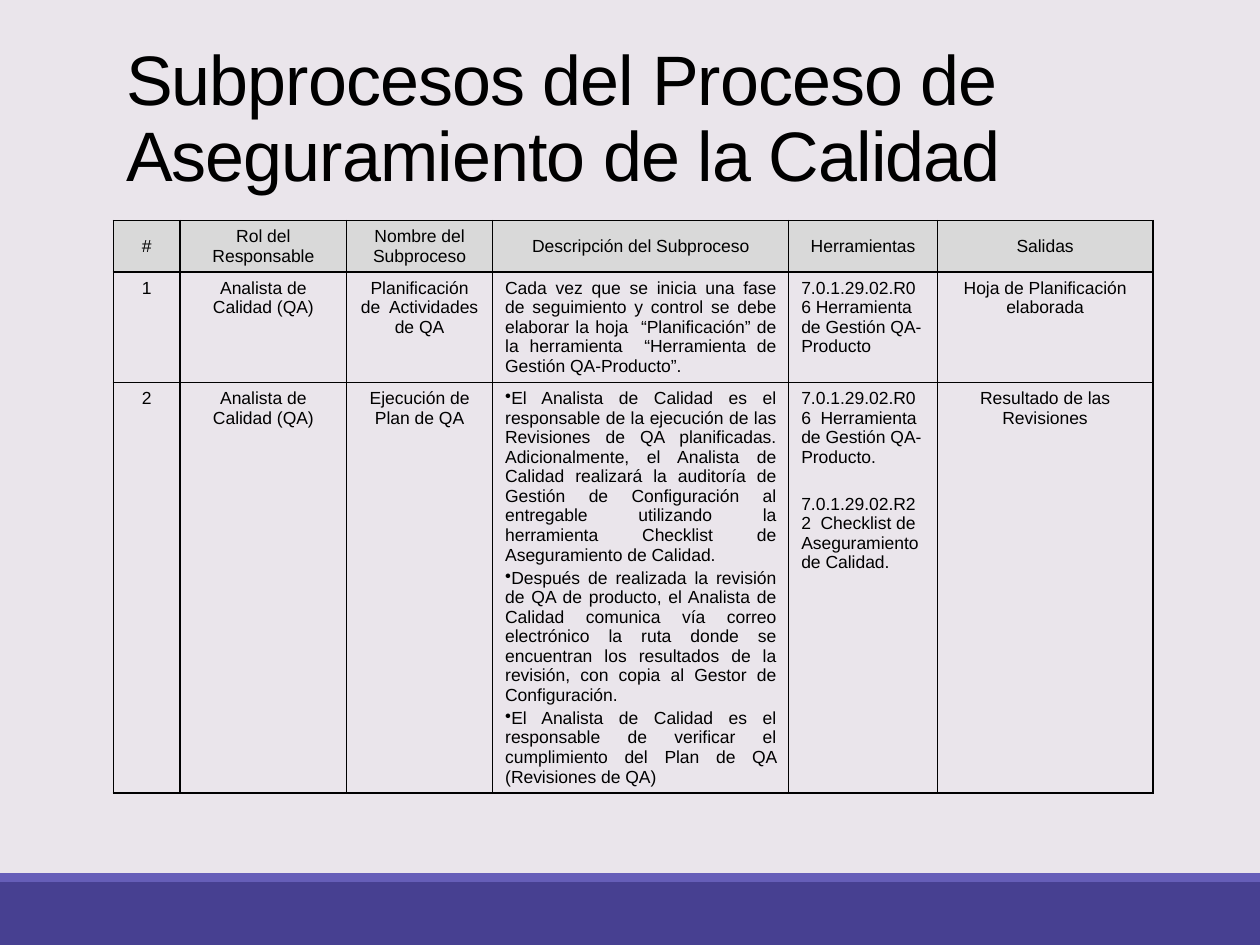
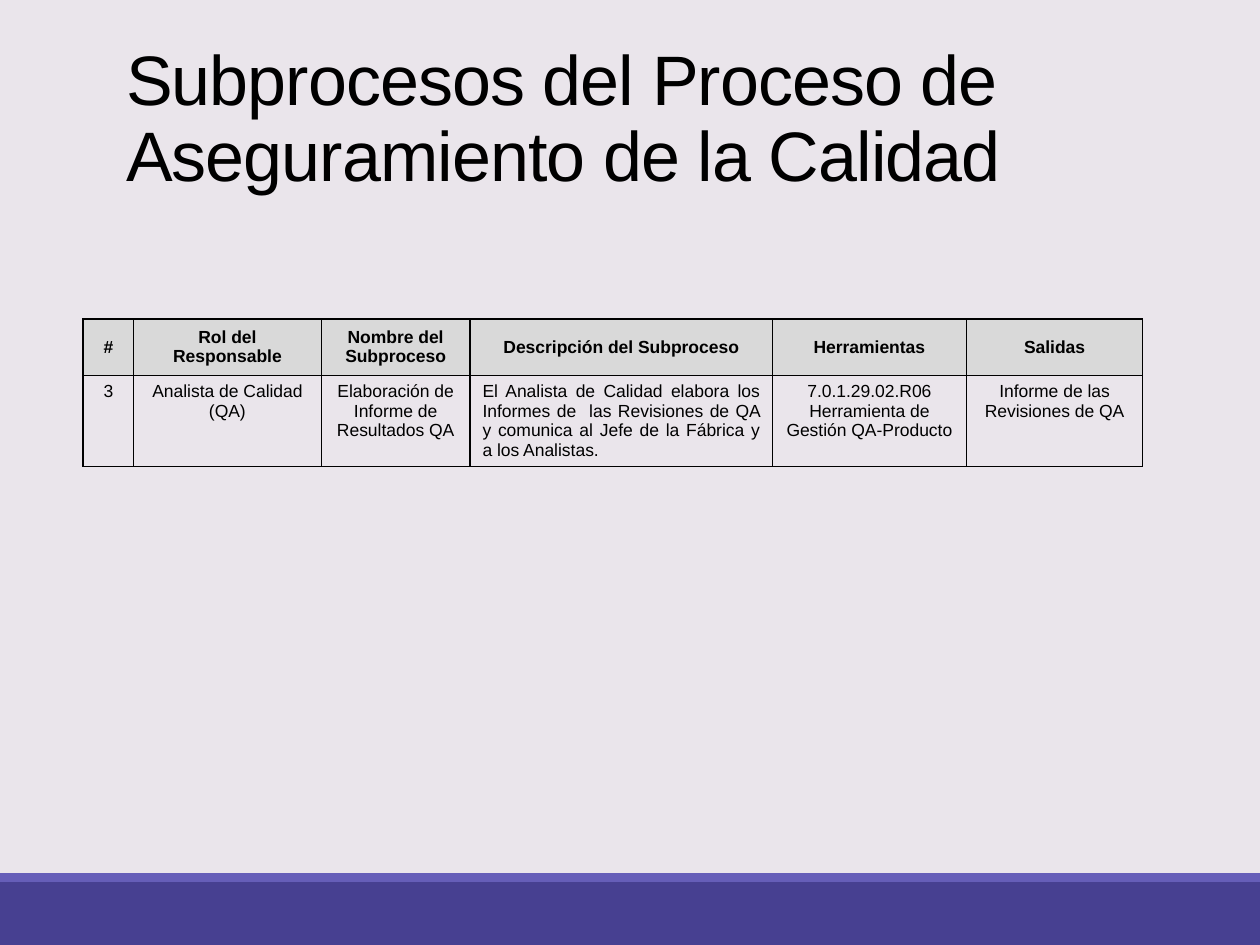
import pptx
import pptx.util
import pptx.dml.color
import pptx.enum.shapes
import pptx.enum.text
import pptx.oxml.ns
import lxml.etree

Inches, Pt = pptx.util.Inches, pptx.util.Pt
ALIGN = pptx.enum.text.PP_ALIGN
ANCHOR = pptx.enum.text.MSO_ANCHOR
CENTER, LEFT, JUSTIFY = ALIGN.CENTER, ALIGN.LEFT, ALIGN.JUSTIFY

FONT = "Arial"
INK, PAPER, HEADER_FILL = "000000", "EAE5EB", "D9D9D9"
WIDTH, HEIGHT = 10, 7.5
BANDS = [(7, 0.5, "474091"), (6.93, 0.07, "665EB8")]  # top, height, colour
TITLE = "Subprocesos del Proceso de Aseguramiento de la Calidad"
TITLE_BOX = (0.9, 0.31, 8.25, 1.59)
HEADER = ["#", "Rol del Responsable", "Nombre del Subproceso",
          "Descripción del Subproceso", "Herramientas", "Salidas"]
ROW_HEIGHT = 0.41

# A cell is a string, or a list of paragraphs.
SLIDES = [
    {"at": (0.9, 1.75), "cols": [0.53, 1.32, 1.16, 2.35, 1.18, 1.71],
     "header_height": 0.41, "header_bold": False, "tools_align": LEFT,
     "rows": [
         ["1", "Analista de Calidad (QA)",
          "Planificación de  Actividades de QA",
          "Cada vez que se inicia una fase de seguimiento y control se debe "
          "elaborar la hoja  “Planificación” de la herramienta  "
          "“Herramienta de Gestión QA-Producto”.",
          "7.0.1.29.02.R06 Herramienta de Gestión QA-Producto",
          "Hoja de Planificación elaborada"],
         ["2", "Analista de Calidad (QA)", "Ejecución de Plan de QA",
          ["El Analista de Calidad es el responsable de la ejecución de las "
           "Revisiones de QA planificadas. Adicionalmente, el Analista de "
           "Calidad realizará la auditoría de Gestión de Configuración al "
           "entregable utilizando la herramienta Checklist de "
           "Aseguramiento de Calidad.",
           "Después de realizada la revisión de QA de producto, el Analista "
           "de Calidad comunica vía correo electrónico la ruta donde se "
           "encuentran los resultados de la revisión, con copia al Gestor "
           "de Configuración.",
           "El Analista de Calidad es el responsable de verificar el "
           "cumplimiento del Plan de QA (Revisiones de QA)"],
          ["7.0.1.29.02.R06  Herramienta de Gestión QA-Producto.",
           "7.0.1.29.02.R22  Checklist de Aseguramiento de Calidad."],
          "Resultado de las Revisiones"],
     ]},
    {"at": (0.66, 2.53), "cols": [0.4, 1.49, 1.18, 2.4, 1.54, 1.4],
     "header_height": 0.45, "header_bold": True, "tools_align": CENTER,
     "rows": [
         ["3", "Analista de Calidad (QA)",
          "Elaboración de Informe de Resultados QA",
          "El Analista de Calidad elabora los Informes de  las Revisiones de "
          "QA y comunica al Jefe de la Fábrica y a los Analistas.",
          "7.0.1.29.02.R06 Herramienta de Gestión QA-Producto",
          "Informe de las Revisiones de QA"],
     ]},
]
BULLET_GAP, TOOL_GAP = 2, 15.5  # points before the next paragraph


def color(hex_string):
    """Turn a hex string into a colour."""
    return pptx.dml.color.RGBColor.from_string(hex_string)


def style_run(r, size, bold=False):
    """Give a run the deck's font."""
    r.font.name, r.font.size, r.font.bold = FONT, Pt(size), bold
    r.font.color.rgb = color(INK)


def add_bands(s):
    """Draw the two bands at the foot of a slide."""
    for top, height, fill in BANDS:
        sp = s.shapes.add_shape(pptx.enum.shapes.MSO_SHAPE.RECTANGLE, 0,
                                Inches(top), Inches(WIDTH), Inches(height))
        sp.shadow.inherit = False
        sp.fill.solid()
        sp.fill.fore_color.rgb = color(fill)
        sp.line.fill.background()


def set_title(s):
    """Place and format the title placeholder."""
    sp = s.shapes.title
    sp.left, sp.top, sp.width, sp.height = map(Inches, TITLE_BOX)
    tf = sp.text_frame
    tf.text = TITLE
    tf.word_wrap = True
    tf.auto_size = pptx.enum.text.MSO_AUTO_SIZE.NONE
    tf.vertical_anchor = ANCHOR.TOP
    p = tf.paragraphs[0]
    p.alignment, p.line_spacing = LEFT, 0.9
    style_run(p.runs[0], 40)
    p.runs[0].font._element.set("spc", "-50")


def add_borders(cell):
    """Draw a 1 pt line on each side of a cell, ahead of its fill."""
    tc_pr = cell._tc.get_or_add_tcPr()
    qn = pptx.oxml.ns.qn
    for i, side in enumerate(("a:lnL", "a:lnR", "a:lnT", "a:lnB")):
        ln = lxml.etree.Element(qn(side), w=str(Pt(1)))
        fill = lxml.etree.SubElement(ln, qn("a:solidFill"))
        lxml.etree.SubElement(fill, qn("a:srgbClr"), val=INK)
        tc_pr.insert(i, ln)


def fill_cell(cell, content, align, header=False, bold=False):
    """Write and format one table cell."""
    paragraphs = [content] if isinstance(content, str) else content
    bulleted = len(paragraphs) > 1 and align == JUSTIFY
    cell.text_frame.text = "\n".join(paragraphs)
    cell.vertical_anchor = ANCHOR.MIDDLE if header else ANCHOR.TOP
    for i, p in enumerate(cell.text_frame.paragraphs):
        p.alignment = align
        if i:
            p.space_before = Pt(BULLET_GAP if bulleted else TOOL_GAP)
        if bulleted:
            lxml.etree.SubElement(p._p.get_or_add_pPr(),
                                  pptx.oxml.ns.qn("a:buChar"), char="•")
        for r in p.runs:
            style_run(r, 10, bold)
    if header:
        cell.fill.solid()
        cell.fill.fore_color.rgb = color(HEADER_FILL)
    else:
        cell.fill.background()
    add_borders(cell)


def add_process_table(s, data):
    """Add the table of subprocesses."""
    rows = [HEADER] + data["rows"]
    heights = [data["header_height"]] + [ROW_HEIGHT] * len(data["rows"])
    left, top = data["at"]
    table = s.shapes.add_table(
        len(rows), len(HEADER), Inches(left), Inches(top),
        Inches(sum(data["cols"])), Inches(sum(heights))).table
    table.first_row = table.horz_banding = False
    for column, width in zip(table.columns, data["cols"]):
        column.width = Inches(width)
    aligns = [CENTER, CENTER, CENTER, JUSTIFY, data["tools_align"], CENTER]
    for i, (row, height) in enumerate(zip(rows, heights)):
        table.rows[i].height = Inches(height)
        header = i == 0
        for j, content in enumerate(row):
            fill_cell(table.cell(i, j), content,
                      CENTER if header else aligns[j],
                      header, header and data["header_bold"])


prs = pptx.Presentation()
prs.slide_width, prs.slide_height = Inches(WIDTH), Inches(HEIGHT)
background = prs.slide_master.background.fill
background.solid()
background.fore_color.rgb = color(PAPER)
for data in SLIDES:
    s = prs.slides.add_slide(prs.slide_layouts[5])
    add_bands(s)
    set_title(s)
    add_process_table(s, data)
prs.save("out.pptx")
